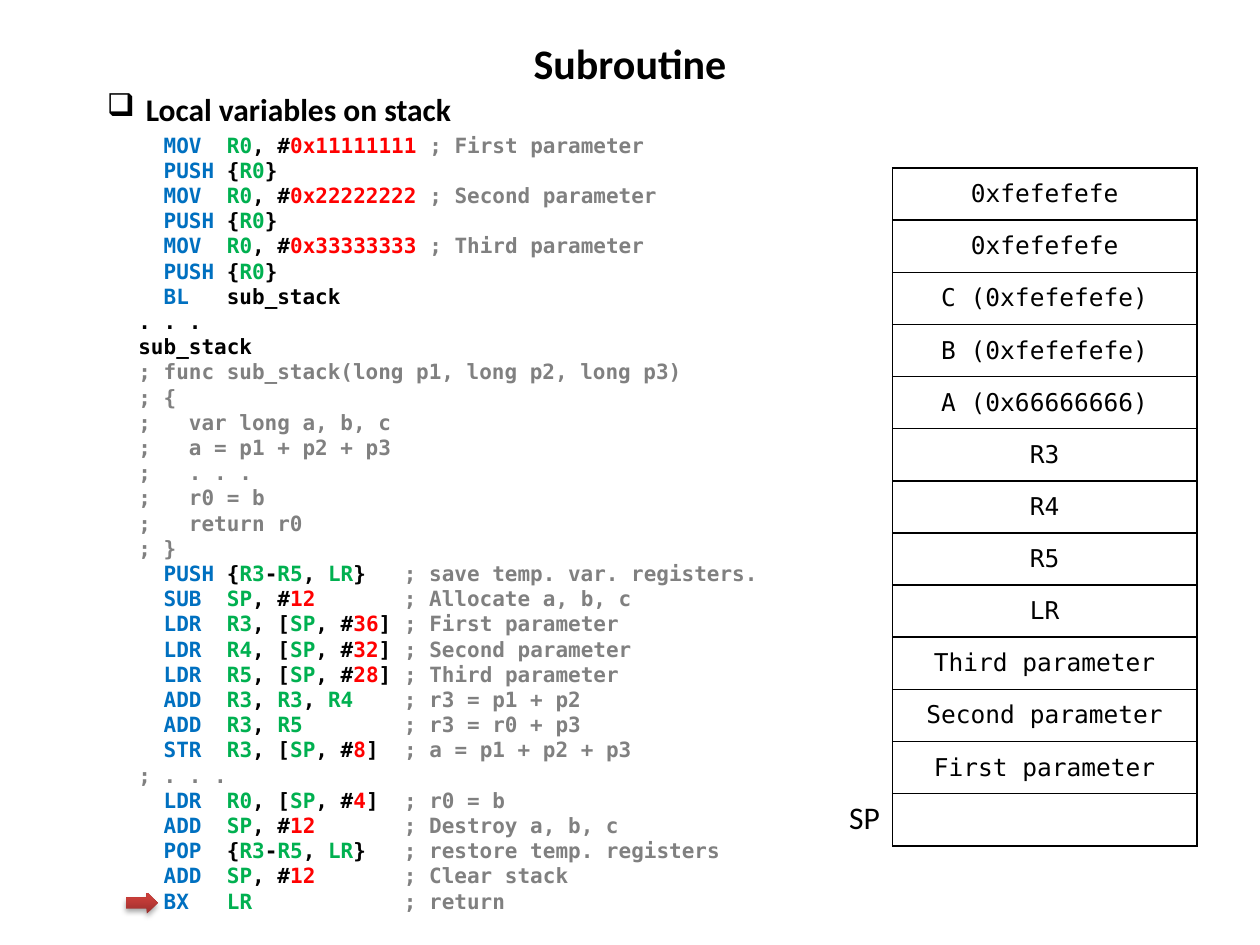
from copy import deepcopy
from dataclasses import dataclass
from itertools import groupby

from lxml.etree import SubElement
from pptx import Presentation
from pptx.dml.color import RGBColor
from pptx.enum.shapes import MSO_SHAPE as Preset
from pptx.enum.text import MSO_ANCHOR as Anchor, MSO_AUTO_SIZE as AutoSize, PP_ALIGN as Align
from pptx.oxml.ns import qn
from pptx.util import Inches, Pt

SLIDE_WIDTH, SLIDE_HEIGHT = Inches(10), Inches(7.5)
COLUMN, ROW = SLIDE_WIDTH / 120, SLIDE_HEIGHT / 90
SANS, MONO = "Calibri", "DejaVu Sans Mono"
BLACK, BLUE, GREEN, RED, GRAY = "000000", "0070C0", "00B050", "FF0000", "808080"
MNEMONICS = {"MOV", "PUSH", "BL", "SUB", "LDR", "ADD", "STR", "POP", "BX"}
REGISTERS = {"R0", "R3", "R4", "R5", "SP", "LR"}
STACK = [
    "0xfefefefe", "0xfefefefe", "C (0xfefefefe)", "B (0xfefefefe)", "A (0x66666666)",
    "R3", "R4", "R5", "LR", "Third parameter", "Second parameter", "First parameter", "",
]
LISTING = [
    "  MOV  R0, #0x11111111 ; First parameter",
    "  PUSH {R0}",
    "  MOV  R0, #0x22222222 ; Second parameter",
    "  PUSH {R0}",
    "  MOV  R0, #0x33333333 ; Third parameter",
    "  PUSH {R0}",
    "  BL   sub_stack",
    ". . .",
    "sub_stack",
    "; func sub_stack(long p1, long p2, long p3)",
    "; {",
    ";   var long a, b, c",
    ";   a = p1 + p2 + p3",
    ";   . . .",
    ";   r0 = b",
    ";   return r0",
    "; }",
    "  PUSH {R3-R5, LR}   ; save temp. var. registers.",
    "  SUB  SP, #12       ; Allocate a, b, c",
    "  LDR  R3, [SP, #36] ; First parameter",
    "  LDR  R4, [SP, #32] ; Second parameter",
    "  LDR  R5, [SP, #28] ; Third parameter",
    "  ADD  R3, R3, R4    ; r3 = p1 + p2",
    "  ADD  R3, R5        ; r3 = r0 + p3",
    "  STR  R3, [SP, #8]  ; a = p1 + p2 + p3",
    "; . . .",
    "  LDR  R0, [SP, #4]  ; r0 = b",
    "  ADD  SP, #12       ; Destroy a, b, c",
    "  POP  {R3-R5, LR}   ; restore temp. registers",
    "  ADD  SP, #12       ; Clear stack",
    "  BX   LR            ; return",
]


@dataclass
class Area:
    """A rectangle in grid columns and rows."""

    left: float
    top: float
    width: float
    height: float

    def lengths(self) -> list[int]:
        """Return left, top, width and height in slide units."""
        return [
            round(self.left * COLUMN), round(self.top * ROW),
            round(self.width * COLUMN), round(self.height * ROW),
        ]


@dataclass
class Token:
    """A piece of code with its colour."""

    text: str
    color: str


def rgb(color: str) -> RGBColor:
    """Turn a hex string into a colour."""
    return RGBColor.from_string(color)


def write(paragraph, text: str, *, size=18, font=SANS, color=BLACK, bold=False, align=None):
    """Append formatted text to a paragraph."""
    if align is not None:
        paragraph.alignment = align
    run = paragraph.add_run()
    run.text = text
    run.font.size, run.font.name, run.font.bold = Pt(size), font, bold
    run.font.color.rgb = rgb(color)


def tokenize(line: str) -> list[Token]:
    """Split a line of assembly into coloured tokens."""
    code, mark, comment = line.partition(";")
    tokens = []
    for is_word, letters in groupby(code, lambda letter: letter.isalnum() or letter == "_"):
        text = "".join(letters)
        color = BLACK
        if text in MNEMONICS:
            color = BLUE
        elif text in REGISTERS:
            color = GREEN
        elif is_word and text[0].isdigit():
            color = RED
        tokens.append(Token(text, color))
    if mark:
        tokens.append(Token(mark + comment, GRAY))
    return tokens


def add_title(slide, area: Area, text: str) -> None:
    """Place and fill the title placeholder."""
    title = slide.shapes.title
    title.left, title.top, title.width, title.height = area.lengths()
    frame = title.text_frame
    frame.auto_size, frame.vertical_anchor = AutoSize.SHAPE_TO_FIT_TEXT, Anchor.MIDDLE
    write(frame.paragraphs[0], text, size=24, bold=True, align=Align.CENTER)


def add_frame(slide, area: Area, wrap: bool):
    """Add a text box and return its text frame."""
    frame = slide.shapes.add_textbox(*area.lengths()).text_frame
    frame.word_wrap, frame.auto_size = wrap, AutoSize.SHAPE_TO_FIT_TEXT
    return frame


def add_topic(slide, area: Area, text: str) -> None:
    """Add the bulleted topic line."""
    paragraph = add_frame(slide, area, wrap=False).paragraphs[0]
    properties = paragraph._p.get_or_add_pPr()
    properties.set("marL", str(Inches(0.31)))
    properties.set("indent", str(-Inches(0.31)))
    SubElement(properties, qn("a:buChar"), char="❑")
    write(paragraph, text, bold=True)


def add_listing(slide, area: Area, lines: list[str]) -> None:
    """Add the highlighted assembly code."""
    frame = add_frame(slide, area, wrap=True)
    for index, line in enumerate(lines):
        paragraph = frame.add_paragraph() if index else frame.paragraphs[0]
        for token in tokenize(line):
            write(paragraph, token.text, size=12, font=MONO, color=token.color, bold=True)


def draw_borders(cell, sides: str) -> None:
    """Draw black borders on the given sides of a cell."""
    for side in sides:
        border = SubElement(cell._tc.get_or_add_tcPr(), qn(f"a:ln{side}"), w=str(Pt(1)))
        SubElement(SubElement(border, qn("a:solidFill")), qn("a:srgbClr"), val=BLACK)


def add_stack(slide, area: Area, label_width: float, entries: list[str]) -> None:
    """Add the stack table with the pointer label beside its last row."""
    table = slide.shapes.add_table(len(entries), 2, *area.lengths()).table
    table.first_row = table.horz_banding = False
    table.columns[0].width = round(label_width * COLUMN)
    table.columns[1].width = round((area.width - label_width) * COLUMN)
    for index, entry in enumerate(entries):
        label, slot = table.cell(index, 0), table.cell(index, 1)
        draw_borders(label, "R")
        draw_borders(slot, "LRTB")
        label.fill.background()
        slot.fill.background()
        slot.vertical_anchor = Anchor.MIDDLE
        if entry:
            write(slot.text_frame.paragraphs[0], entry, size=14, font=MONO, align=Align.CENTER)
    write(label.text_frame.paragraphs[0], "SP", align=Align.RIGHT)


def add_marker(slide, area: Area) -> None:
    """Add the shaded arrow that marks the current instruction."""
    arrow = slide.shapes.add_shape(Preset.RIGHT_ARROW, *area.lengths())
    arrow.line.fill.background()
    arrow.fill.gradient()
    arrow.fill.gradient_angle = 90
    first = arrow._element.spPr.find(".//" + qn("a:gs"))
    first.addnext(deepcopy(first))
    shades = [(0, "9C2F2D"), (0.8, "CB3E3A"), (1, "CE3B37")]
    for stop, (position, color) in zip(arrow.fill.gradient_stops, shades):
        stop.position, stop.color.rgb = position, rgb(color)
    arrow.shadow.inherit = False
    shadow = SubElement(
        arrow._element.spPr.find(qn("a:effectLst")), qn("a:outerShdw"),
        blurRad=str(Pt(3.1)), dist=str(Pt(1.8)), dir="5400000", rotWithShape="0",
    )
    shade = SubElement(shadow, qn("a:srgbClr"), val=BLACK)
    SubElement(shade, qn("a:alpha"), val="35000")


def main() -> None:
    """Build and save the slide."""
    deck = Presentation()
    deck.slide_width, deck.slide_height = SLIDE_WIDTH, SLIDE_HEIGHT
    slide = deck.slides.add_slide(deck.slide_layouts[5])
    add_topic(slide, Area(9, 8, 35.5, 4.8), "Local variables on stack")
    add_listing(slide, Area(12, 12, 63, 76.3), LISTING)
    add_stack(slide, Area(73, 16, 41, 64.6), 12, STACK)
    add_marker(slide, Area(12, 85, 3, 2))
    add_title(slide, Area(0, 3, 120, 6), "Subroutine")
    deck.save("out.pptx")


if __name__ == "__main__":
    main()
